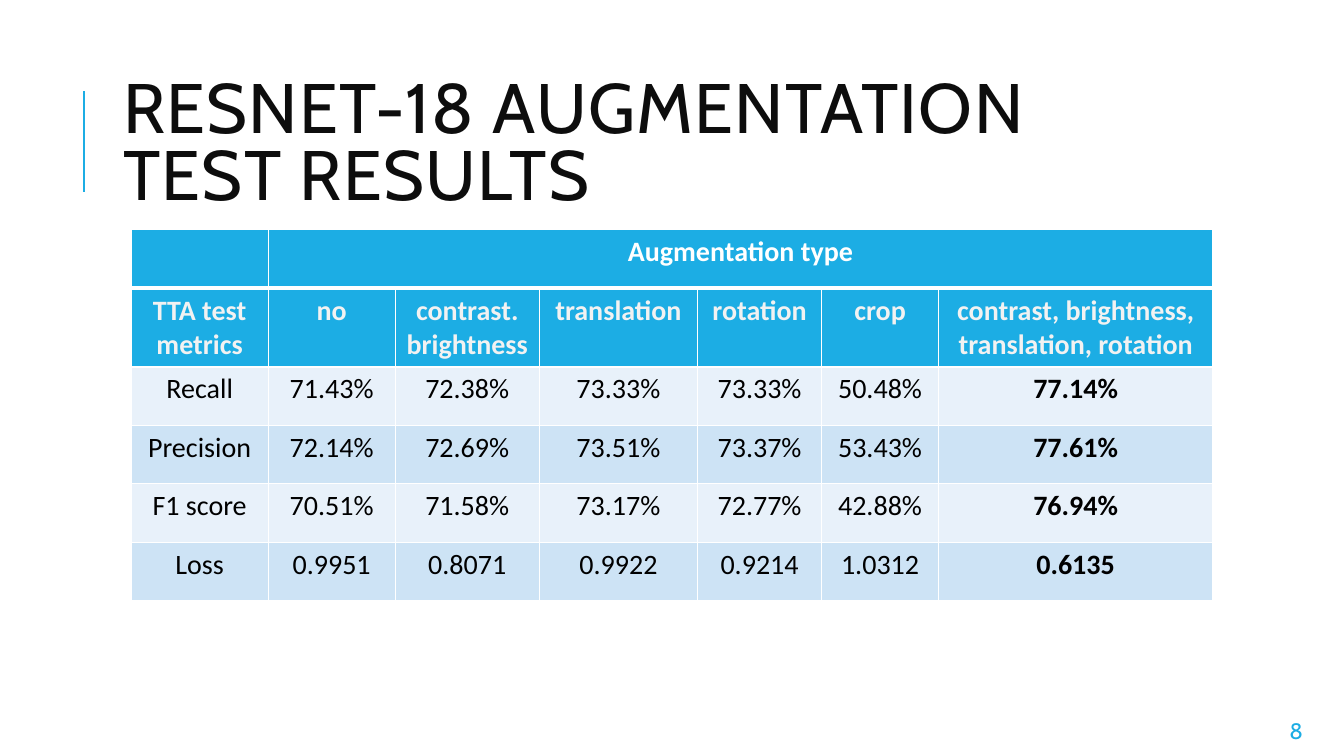
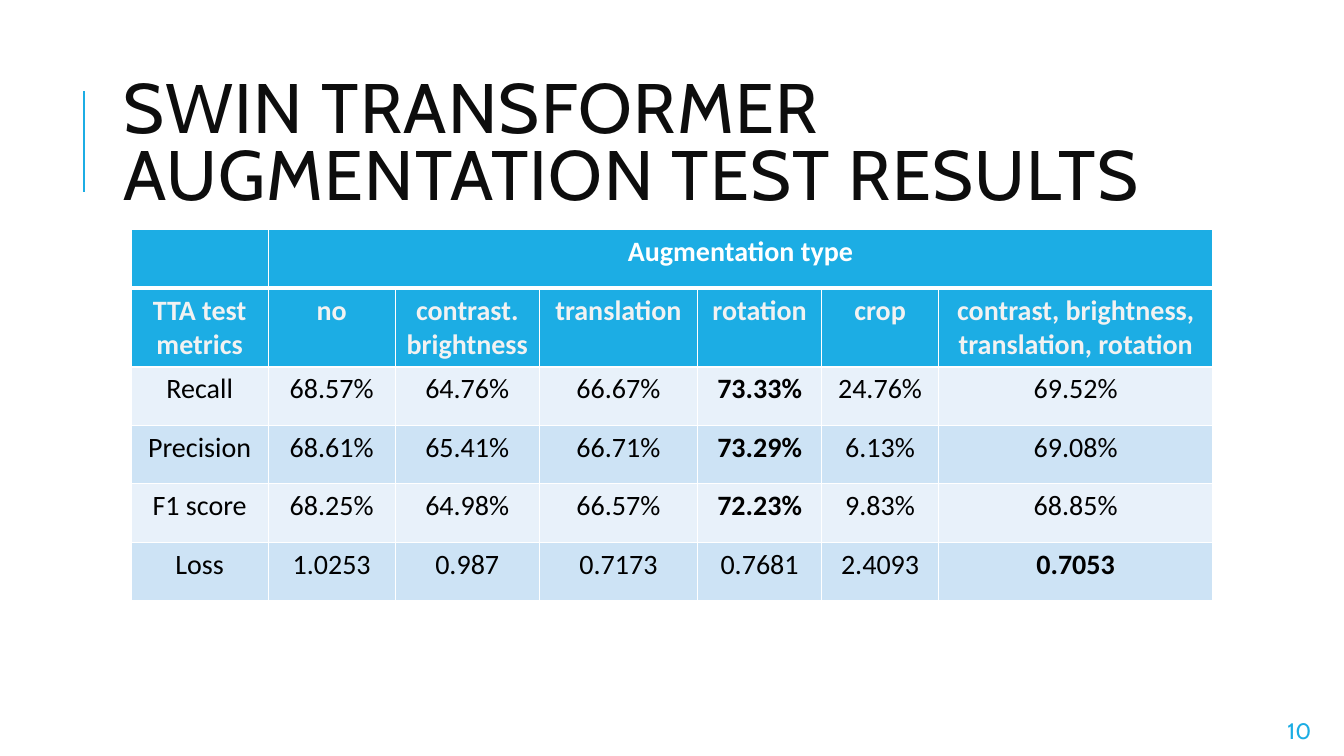
"""Build the two slides that compare augmentation test results."""
from dataclasses import dataclass
from typing import Any, NamedTuple

from lxml.etree import SubElement
from pptx import Presentation
from pptx.dml.color import RGBColor
from pptx.enum.shapes import MSO_CONNECTOR
from pptx.enum.text import MSO_ANCHOR as Anchor, MSO_AUTO_SIZE as AutoSize, PP_ALIGN as Align
from pptx.oxml.ns import qn
from pptx.util import Emu, Pt

EMU_PER_PX = 9144
SLIDE_WIDTH, SLIDE_HEIGHT = 1333, 750
TITLE_ONLY_LAYOUT = 5

ACCENT = RGBColor(0x1C, 0xAD, 0xE4)
TITLE_INK = RGBColor(0x0D, 0x0D, 0x0D)
BLACK = RGBColor(0x00, 0x00, 0x00)
WHITE = RGBColor(0xFF, 0xFF, 0xFF)
OFF_WHITE = RGBColor(0xF2, 0xF2, 0xF2)
BAND_FILLS = (RGBColor(0xE8, 0xF1, 0xFA), RGBColor(0xCD, 0xE3, 0xF5))

TITLE_FONT = {"name": "Cabin", "size": Pt(50), "bold": False}
NUMBER_FONT = {"name": "Cabin", "size": Pt(16)}
TABLE_FONT = {"name": "Calibri", "size": Pt(20)}

TABLE_LEFT, TABLE_TOP = 130, 228
COLUMN_WIDTHS = (136, 126, 143, 157, 123, 116, 272)
ROW_HEIGHT = 58
THIN_BORDER, THICK_BORDER = Pt(1), Pt(3)
GROUP_HEADING = "Augmentation type"
COLUMN_HEADINGS = (
    "TTA test metrics",
    "no",
    "contrast. brightness",
    "translation",
    "rotation",
    "crop",
    "contrast, brightness, translation, rotation",
)


class Box(NamedTuple):
    """Left, top, width and height in px."""

    left: int
    top: int
    width: int
    height: int


class Metric(NamedTuple):
    """One table row and the column of its best value."""

    name: str
    values: tuple[str, ...]
    best: int


@dataclass(frozen=True)
class ResultSlide:
    """Content of one results slide."""

    title: str
    title_box: Box
    metrics: tuple[Metric, ...]
    number: int
    number_box: Box


RESULT_SLIDES = (
    ResultSlide(
        "RESNET-18 AUGMENTATION TEST RESULTS",
        Box(112, 64, 1063, 164),
        (
            Metric("Recall", ("71.43%", "72.38%", "73.33%", "73.33%", "50.48%", "77.14%"), 6),
            Metric("Precision", ("72.14%", "72.69%", "73.51%", "73.37%", "53.43%", "77.61%"), 6),
            Metric("F1 score", ("70.51%", "71.58%", "73.17%", "72.77%", "42.88%", "76.94%"), 6),
            Metric("Loss", ("0.9951", "0.8071", "0.9922", "0.9214", "1.0312", "0.6135"), 6),
        ),
        8,
        Box(1269, 712, 34, 26),
    ),
    ResultSlide(
        "SWIN TRANSFORMER AUGMENTATION TEST RESULTS",
        Box(112, 64, 1139, 164),
        (
            Metric("Recall", ("68.57%", "64.76%", "66.67%", "73.33%", "24.76%", "69.52%"), 4),
            Metric("Precision", ("68.61%", "65.41%", "66.71%", "73.29%", "6.13%", "69.08%"), 4),
            Metric("F1 score", ("68.25%", "64.98%", "66.57%", "72.23%", "9.83%", "68.85%"), 4),
            Metric("Loss", ("1.0253", "0.987", "0.7173", "0.7681", "2.4093", "0.7053"), 6),
        ),
        10,
        Box(1267, 710, 44, 29),
    ),
)


def px(length: int) -> Emu:
    """Turn px into EMU."""
    return Emu(length * EMU_PER_PX)


def set_attributes(target: Any, values: dict[str, Any]) -> None:
    """Set each named attribute on the target."""
    for name, value in values.items():
        setattr(target, name, value)


def set_font(font: Any, values: dict[str, Any], color: RGBColor) -> None:
    """Apply font values and a colour."""
    set_attributes(font, values)
    font.color.rgb = color


def draw_title(slide: Any, text: str, box: Box) -> None:
    """Place and format the title placeholder."""
    title = slide.shapes.title
    set_attributes(title, {name: px(length) for name, length in box._asdict().items()})
    frame = title.text_frame
    set_attributes(frame, {
        "text": text,
        "word_wrap": True,
        "auto_size": AutoSize.NONE,
        "vertical_anchor": Anchor.MIDDLE,
    })
    paragraph = frame.paragraphs[0]
    set_attributes(paragraph, {"alignment": Align.LEFT, "line_spacing": 0.8})
    run = paragraph.runs[0]
    set_font(run.font, TITLE_FONT, TITLE_INK)
    run._r.get_or_add_rPr().set("spc", "100")


def draw_title_rule(slide: Any) -> None:
    """Draw the vertical line beside the title."""
    rule = slide.shapes.add_connector(MSO_CONNECTOR.STRAIGHT, px(83), px(190), px(83), px(90))
    rule.line.color.rgb = ACCENT
    rule.line.width = Pt(1.5)
    SubElement(rule._element.spPr, qn("a:effectLst"))


def draw_number(slide: Any, number: int, box: Box) -> None:
    """Write the slide number."""
    frame = slide.shapes.add_textbox(*map(px, box)).text_frame
    set_attributes(frame, {
        "text": str(number),
        "word_wrap": False,
        "vertical_anchor": Anchor.MIDDLE,
        "margin_top": 0,
        "margin_bottom": 0,
    })
    set_font(frame.paragraphs[0].runs[0].font, NUMBER_FONT, ACCENT)


def set_borders(cell: Any, top: int, bottom: int) -> None:
    """Give a cell white borders."""
    properties = cell._tc.get_or_add_tcPr()
    widths = {"lnL": THIN_BORDER, "lnR": THIN_BORDER, "lnT": top, "lnB": bottom}
    for tag, width in widths.items():
        line = SubElement(properties, qn(f"a:{tag}"), w=str(int(width)))
        fill = SubElement(line, qn("a:solidFill"))
        SubElement(fill, qn("a:srgbClr"), val=str(WHITE))


def format_cell(cell: Any, text: str, fill: RGBColor, ink: RGBColor, bold: bool) -> None:
    """Fill a cell and write its centred text."""
    cell.fill.solid()
    cell.fill.fore_color.rgb = fill
    cell.text = text
    paragraph = cell.text_frame.paragraphs[0]
    paragraph.alignment = Align.CENTER
    for run in paragraph.runs:
        set_font(run.font, TABLE_FONT | {"bold": bold}, ink)


def draw_table(slide: Any, metrics: tuple[Metric, ...]) -> None:
    """Draw the results table under its two header rows."""
    blanks = ("",) * (len(COLUMN_HEADINGS) - 2)
    rows = [("", GROUP_HEADING, *blanks), COLUMN_HEADINGS]
    rows += [(metric.name, *metric.values) for metric in metrics]
    frame = slide.shapes.add_table(
        len(rows), len(COLUMN_WIDTHS), px(TABLE_LEFT), px(TABLE_TOP),
        px(sum(COLUMN_WIDTHS)), px(ROW_HEIGHT * len(rows)),
    )
    table = frame.table
    for column, width in zip(table.columns, COLUMN_WIDTHS):
        column.width = px(width)
    for row_index, texts in enumerate(rows):
        is_header = row_index < 2
        fill = ACCENT if is_header else BAND_FILLS[row_index % 2]
        ink = (WHITE, OFF_WHITE)[row_index] if is_header else BLACK
        top = THICK_BORDER if row_index == 1 else THIN_BORDER
        bottom = THICK_BORDER if row_index == 0 else THIN_BORDER
        for column_index, text in enumerate(texts):
            cell = table.cell(row_index, column_index)
            set_borders(cell, top, bottom)
            bold = is_header or column_index == metrics[row_index - 2].best
            format_cell(cell, text, fill, ink, bold)
    table.cell(0, 1).merge(table.cell(0, len(COLUMN_WIDTHS) - 1))


def main() -> None:
    """Build and save the presentation."""
    presentation = Presentation()
    presentation.slide_width = px(SLIDE_WIDTH)
    presentation.slide_height = px(SLIDE_HEIGHT)
    layout = presentation.slide_layouts[TITLE_ONLY_LAYOUT]
    for content in RESULT_SLIDES:
        slide = presentation.slides.add_slide(layout)
        draw_title_rule(slide)
        draw_title(slide, content.title, content.title_box)
        draw_table(slide, content.metrics)
        draw_number(slide, content.number, content.number_box)
    presentation.save("out.pptx")


if __name__ == "__main__":
    main()
